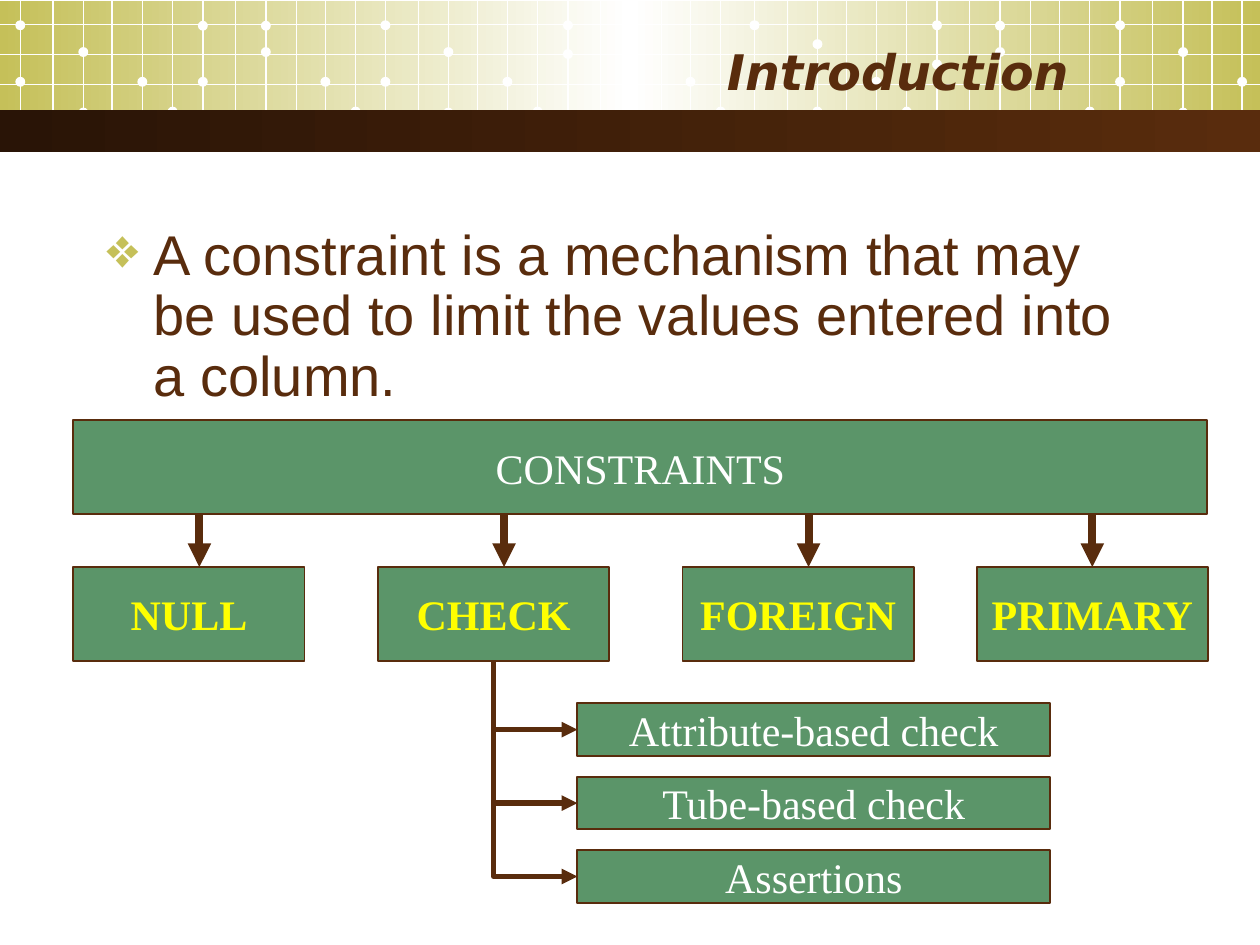
from dataclasses import dataclass

from lxml.etree import SubElement
from pptx import Presentation
from pptx.dml.color import RGBColor
from pptx.enum.shapes import MSO_CONNECTOR as Line, MSO_SHAPE as Preset
from pptx.enum.text import MSO_ANCHOR as Anchor, PP_ALIGN as Align
from pptx.oxml.ns import qn
from pptx.util import Cm, Pt


@dataclass(frozen=True)
class Theme:
    olive: str = "C5C059"
    white: str = "FFFFFF"
    brown: str = "592C0D"
    dark: str = "291406"
    green: str = "5B9569"
    yellow: str = "FFFF00"
    title_font: str = "DejaVu Sans"
    body_font: str = "Arial"
    box_font: str = "Times New Roman"
    title_size: int = 28
    body_size: int = 32
    box_size: int = 24


THEME = Theme()

TITLE = "Introduction"
DEFINITION = ("A constraint is a mechanism that may be used to limit "
              "the values entered into a column.")
ROOT = "CONSTRAINTS"
# name, box left, arrow distance from box left (cm)
KINDS = [("NULL", 1.48, 2.54), ("CHECK", 7.62, 2.54),
         ("FOREIGN", 13.76, 2.54), ("PRIMARY", 19.69, 2.33)]
CHECKS = ["Attribute-based check", "Tube-based check", "Assertions"]

SLIDE_WIDTH, SLIDE_HEIGHT = 25.4, 19.05
# Header mesh: one pattern of columns and dots, repeated from each start
MESH_STARTS = [0.41, 7.77, 15.21, 22.58]
MESH_COLUMNS = [0, 0.66, 1.27, 1.85, 2.46, 3.07, 3.68, 4.34, 4.95, 5.56, 6.15, 6.76]
MESH_ROWS = [0.5, 1.1, 1.7, 2.26]
MESH_BOTTOM = 2.79
DOT = 0.2
# column index, heights of the dot centres
DOTS = [(0, (0.51, 1.65)), (2, (1.05, 2.27)), (4, (1.65,)), (5, (2.25,)),
        (6, (0.52, 1.65)), (8, (0.52, 1.05)), (10, (1.65,)), (11, (2.25,))]
MOVED_DOTS = {(1, 6): (0.51, 1.09), (2, 2): (0.89, 2.25), (2, 6): (0.51, 1.3)}

BOX_LEFT, BOX_WIDTH, BOX_HEIGHT = 1.48, 4.66, 1.9
ROOT_TOP, ROOT_WIDTH, KIND_TOP = 8.47, 22.86, 11.43
CHECK_LEFT, CHECK_TOP, CHECK_STEP = 11.64, 14.18, 1.48
CHECK_WIDTH, CHECK_HEIGHT = 9.53, 1.06


def color(value):
    return RGBColor.from_string(value)


def add_preset(slide, preset, left, top, width, height, fill=None, stops=None, outline=None):
    """Add a flat shape; stops is a list of (percent, colour) for a gradient."""
    shape = slide.shapes.add_shape(preset, Cm(left), Cm(top), Cm(width), Cm(height))
    shape.shadow.inherit = False
    if stops:
        shape.fill.gradient()
        shape.fill.gradient_angle = 0
        stop_list = shape._element.spPr.find(".//" + qn("a:gsLst"))
        for stop in list(stop_list):
            stop_list.remove(stop)
        for percent, value in stops:
            stop = SubElement(stop_list, qn("a:gs"), pos=str(percent * 1000))
            SubElement(stop, qn("a:srgbClr"), val=value)
    else:
        shape.fill.solid()
        shape.fill.fore_color.rgb = color(fill)
    if outline:
        shape.line.color.rgb = color(outline)
        shape.line.width = Pt(1)
    else:
        shape.line.fill.background()
    return shape


def write_text(shape, text, *, font, size, value, align=Align.LEFT, anchor=Anchor.TOP,
               wrap=True, bold=False, italic=False):
    frame = shape.text_frame
    frame.word_wrap = wrap
    frame.vertical_anchor = anchor
    paragraph = frame.paragraphs[0]
    paragraph.alignment = align
    run = paragraph.add_run()
    run.text = text
    run.font.name, run.font.size = font, Pt(size)
    run.font.bold, run.font.italic = bold, italic
    run.font.color.rgb = color(value)
    return paragraph


def add_box(slide, text, left, top, width, height, value=THEME.white, bold=False):
    shape = add_preset(slide, Preset.RECTANGLE, left, top, width, height,
                       fill=THEME.green, outline=THEME.brown)
    write_text(shape, text, font=THEME.box_font, size=THEME.box_size, value=value,
               align=Align.CENTER, anchor=Anchor.MIDDLE, wrap=False, bold=bold)


def add_line(slide, start, end, value, width, arrow=False, kind=Line.STRAIGHT):
    connector = slide.shapes.add_connector(kind, *map(Cm, (*start, *end)))
    connector.line.color.rgb = color(value)
    connector.line.width = Pt(width)
    if arrow:
        SubElement(connector.line._get_or_add_ln(), qn("a:tailEnd"), type="triangle")
    SubElement(connector._element.spPr, qn("a:effectLst"))
    return connector


def add_elbow(slide, start, end):
    """Run down from start, then right to end, as a turned and flipped two-part elbow."""
    across, down = end[0] - start[0], end[1] - start[1]
    left = (start[0] + end[0] - down) / 2
    top = (start[1] + end[1] - across) / 2
    connector = add_line(slide, (left, top), (left + down, top + across),
                         THEME.brown, 3, arrow=True, kind=Line.ELBOW)
    properties = connector._element.spPr
    properties.find(qn("a:prstGeom")).set("prst", "bentConnector2")
    frame = properties.find(qn("a:xfrm"))
    frame.set("rot", "16200000")
    frame.set("flipH", "1")


def add_header(slide):
    add_preset(slide, Preset.RECTANGLE, 0, 0.02, SLIDE_WIDTH, 2.59,
               stops=[(0, THEME.olive), (50, THEME.white), (100, THEME.olive)])
    for group, start in enumerate(MESH_STARTS):
        columns = [start + offset for offset in MESH_COLUMNS if start + offset < SLIDE_WIDTH]
        for x in columns:
            add_line(slide, (x, 0.01), (x, MESH_BOTTOM), THEME.white, 0.75)
        for column, heights in DOTS:
            if column < len(columns):
                for y in MOVED_DOTS.get((group, column), heights):
                    add_preset(slide, Preset.OVAL, columns[column] - DOT / 2, y - DOT / 2,
                               DOT, DOT, fill=THEME.white)
    for y in MESH_ROWS:
        add_line(slide, (0, y), (SLIDE_WIDTH, y), THEME.white, 0.75)
    add_preset(slide, Preset.RECTANGLE, 0, 2.22, SLIDE_WIDTH, 0.85,
               stops=[(0, THEME.dark), (100, THEME.brown)])


def add_wording(slide):
    title = slide.shapes.add_textbox(Cm(1.27), Cm(0.64), Cm(20.52), Cm(1.57))
    write_text(title, TITLE, font=THEME.title_font, size=THEME.title_size, value=THEME.brown,
               align=Align.RIGHT, anchor=Anchor.MIDDLE, bold=True, italic=True)
    body = slide.shapes.add_textbox(Cm(1.9), Cm(4.45), Cm(21.59), Cm(4.24))
    paragraph = write_text(body, DEFINITION, font=THEME.body_font, size=THEME.body_size,
                           value=THEME.brown)
    paragraph.line_spacing = 0.9
    paragraph.space_before = Pt(THEME.body_size * 0.2)
    properties = paragraph._p.get_or_add_pPr()
    properties.set("marL", str(Cm(0.95)))
    properties.set("indent", str(-Cm(0.95)))
    SubElement(SubElement(properties, qn("a:buClr")), qn("a:srgbClr"), val=THEME.olive)
    SubElement(properties, qn("a:buChar"), char="❖")


def add_diagram(slide):
    add_box(slide, ROOT, BOX_LEFT, ROOT_TOP, ROOT_WIDTH, BOX_HEIGHT)
    for name, left, arrow in KINDS:
        add_box(slide, name, left, KIND_TOP, BOX_WIDTH, BOX_HEIGHT, THEME.yellow, bold=True)
        x = left + arrow
        add_line(slide, (x, ROOT_TOP + BOX_HEIGHT), (x, KIND_TOP), THEME.brown, 4.5, arrow=True)
    check_left = KINDS[1][1]
    trunk = (check_left + BOX_WIDTH / 2, KIND_TOP + BOX_HEIGHT)
    for index, name in enumerate(CHECKS):
        top = CHECK_TOP + index * CHECK_STEP
        add_box(slide, name, CHECK_LEFT, top, CHECK_WIDTH, CHECK_HEIGHT)
        add_elbow(slide, trunk, (CHECK_LEFT, top + CHECK_HEIGHT / 2))


def main():
    presentation = Presentation()
    presentation.slide_width, presentation.slide_height = Cm(SLIDE_WIDTH), Cm(SLIDE_HEIGHT)
    slide = presentation.slides.add_slide(presentation.slide_layouts[6])
    add_header(slide)
    add_wording(slide)
    add_diagram(slide)
    presentation.save("out.pptx")


if __name__ == "__main__":
    main()
